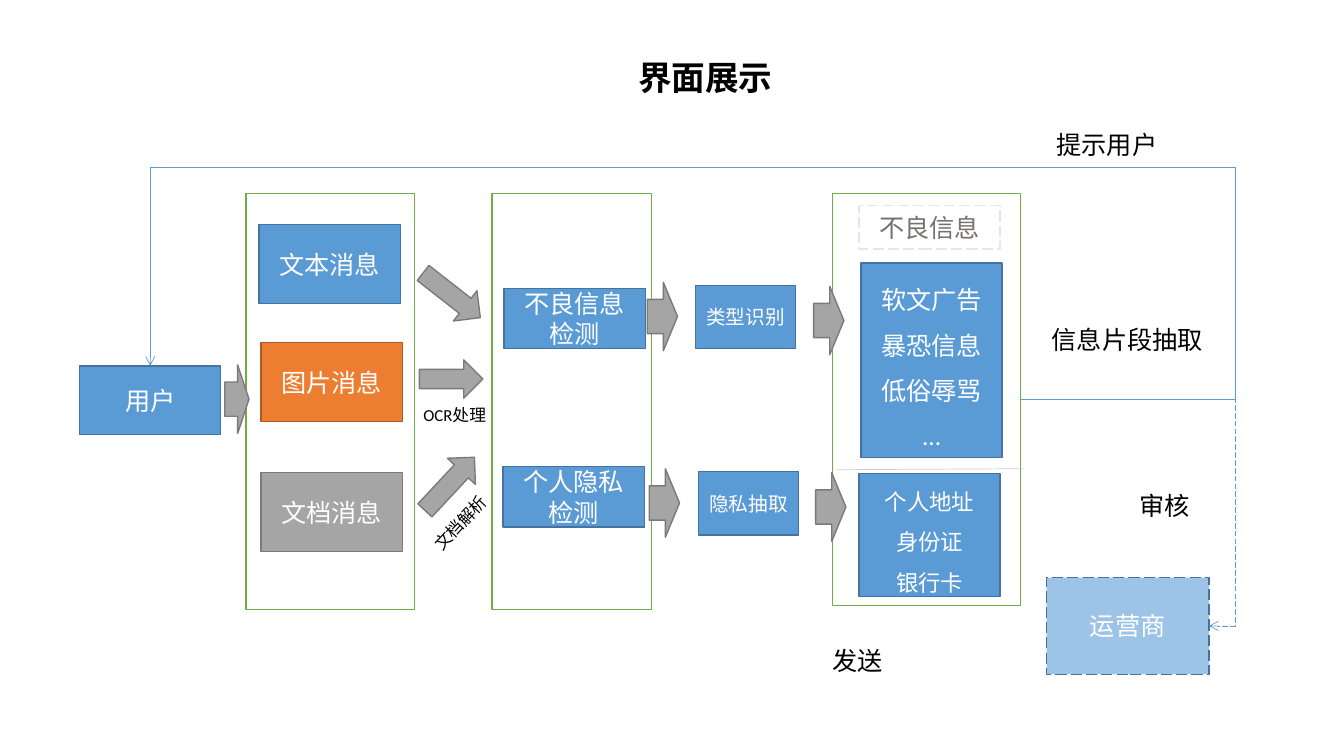
import dataclasses

import pptx
import pptx.dml.color
import pptx.enum.dml
import pptx.enum.shapes
import pptx.enum.text
import pptx.oxml
import pptx.oxml.ns
import pptx.util

Inches = pptx.util.Inches
Shapes = pptx.enum.shapes.MSO_SHAPE
Connectors = pptx.enum.shapes.MSO_CONNECTOR
Align = pptx.enum.text.PP_ALIGN
Anchor = pptx.enum.text.MSO_ANCHOR
LONG_DASH = pptx.enum.dml.MSO_LINE.LONG_DASH


@dataclasses.dataclass(frozen=True)
class Theme:
    font: str = "Calibri"
    title_size: int = 24
    body_size: int = 18
    list_size: int = 16
    step_size: int = 14
    note_size: int = 12
    ink: str = "000000"
    white: str = "FFFFFF"
    muted: str = "767171"
    divider: str = "D0CECE"
    flow: str = "5B9BD5"
    # Fill and outline pairs
    blue: tuple = ("5B9BD5", "43739E")
    light_blue: tuple = ("9DC3E6", "43739E")
    orange: tuple = ("ED7D31", "AF5C24")
    gray: tuple = ("A5A5A5", "7A7A7A")
    frame: tuple = ("FFFFFF", "70AD47")
    ghost: tuple = (None, "E7E6E6")


THEME = Theme()


def rgb(value):
    return pptx.dml.color.RGBColor.from_string(value)


def write_text(shape, lines, size, color, align=Align.CENTER, anchor=Anchor.MIDDLE,
               spacing=None, bold=False):
    frame = shape.text_frame
    frame.word_wrap = True
    frame.vertical_anchor = anchor
    for index, line in enumerate(lines):
        paragraph = frame.paragraphs[0] if index == 0 else frame.add_paragraph()
        paragraph.alignment = align
        if spacing:
            paragraph.line_spacing = spacing
        run = paragraph.add_run()
        run.text = line
        run.font.name = THEME.font
        run.font.size = pptx.util.Pt(size)
        run.font.bold = bold
        run.font.color.rgb = rgb(color)


def add_block(slide, kind, bounds, colors, dashed=False):
    shape = slide.shapes.add_shape(kind, *map(Inches, bounds))
    shape.shadow.inherit = False
    fill, outline = colors
    if fill:
        shape.fill.solid()
        shape.fill.fore_color.rgb = rgb(fill)
    else:
        shape.fill.background()
    shape.line.color.rgb = rgb(outline)
    shape.line.width = pptx.util.Pt(1)
    if dashed:
        shape.line.dash_style = LONG_DASH
    return shape


def add_box(slide, bounds, lines, colors=THEME.blue, size=THEME.body_size,
            color=THEME.white, spacing=None, dashed=False):
    shape = add_block(slide, Shapes.RECTANGLE, bounds, colors, dashed)
    write_text(shape, lines, size, color, spacing=spacing)
    return shape


def add_arrow(slide, bounds, rotation=0, head=0.5):
    shape = add_block(slide, Shapes.RIGHT_ARROW, bounds, THEME.gray)
    shape.adjustments[1] = head
    shape.rotation = rotation


def add_label(slide, bounds, text, size=THEME.body_size, align=Align.LEFT, rotation=0):
    box = slide.shapes.add_textbox(*map(Inches, bounds))
    box.rotation = rotation
    write_text(box, [text], size, THEME.ink, align, Anchor.TOP)


def add_line(slide, kind, start, end, color, dashed=False):
    line = slide.shapes.add_connector(kind, *map(Inches, start + end))
    line.line.color.rgb = rgb(color)
    line.line.width = pptx.util.Pt(0.5)
    if dashed:
        line.line.dash_style = LONG_DASH
    properties = line._element.spPr
    properties.append(properties.makeelement(pptx.oxml.ns.qn("a:effectLst"), {}))
    return line


def add_flow(slide, source, target, target_side, turn_x, turn_y=None, dashed=False):
    """Bent arrow from the right of source, turning at turn_x and then at turn_y."""
    line = add_line(slide, Connectors.ELBOW, (0, 0), (1, 1), THEME.flow, dashed)
    line.begin_connect(source, 3)
    line.end_connect(target, target_side)
    ratios = [(Inches(turn_x) - line.begin_x) / (line.end_x - line.begin_x)]
    if turn_y is not None:
        ratios.append((Inches(turn_y) - line.begin_y) / (line.end_y - line.begin_y))

    namespace = pptx.oxml.ns.nsdecls("a")
    guides = "".join(
        f'<a:gd name="adj{number}" fmla="val {round(ratio * 100000)}"/>'
        for number, ratio in enumerate(ratios, 1))
    geometry = line._element.spPr.find(pptx.oxml.ns.qn("a:prstGeom"))
    geometry.getparent().replace(geometry, pptx.oxml.parse_xml(
        f'<a:prstGeom {namespace} prst="bentConnector{len(ratios) + 2}">'
        f"<a:avLst>{guides}</a:avLst></a:prstGeom>"))
    line.line._get_or_add_ln().append(
        pptx.oxml.parse_xml(f'<a:tailEnd {namespace} type="arrow"/>'))


def add_title(slide, text):
    title = slide.shapes.title
    title.left, title.top, title.width, title.height = map(Inches, (5.56, 0.51, 2.87, 0.5))
    write_text(title, [text], THEME.title_size, THEME.ink, anchor=Anchor.TOP, bold=True)


def main():
    presentation = pptx.Presentation()
    presentation.slide_width = Inches(13.33)
    presentation.slide_height = Inches(7.5)
    slide = presentation.slides.add_slide(presentation.slide_layouts[5])
    add_title(slide, "界面展示")

    # Stage frames
    for bounds in ((2.44, 1.92, 1.67, 4.13), (4.88, 1.92, 1.58, 4.13)):
        add_block(slide, Shapes.RECTANGLE, bounds, THEME.frame)
    results = add_block(slide, Shapes.RECTANGLE, (8.26, 1.92, 1.86, 4.09), THEME.frame)
    add_line(slide, Connectors.STRAIGHT, (8.3, 4.66), (10.15, 4.65), THEME.divider)

    # User and message kinds
    user = add_box(slide, (0.79, 3.63, 1.4, 0.68), ["用户"])
    for left, top, text, colors in ((2.57, 2.23, "文本消息", THEME.blue),
                                    (2.59, 3.4, "图片消息", THEME.orange),
                                    (2.59, 4.69, "文档消息", THEME.gray)):
        add_box(slide, (left, top, 1.4, 0.78), [text], colors)

    # Detection and recognition steps
    for left, top, text in ((5, 2.86, "不良信息检测"), (4.99, 4.63, "个人隐私检测")):
        add_box(slide, (left, top, 1.4, 0.6), [text])
    for left, top, text in ((6.9, 2.83, "类型识别"), (6.93, 4.68, "隐私抽取")):
        add_box(slide, (left, top, 0.99, 0.63), [text], size=THEME.step_size)

    # Results and operator
    add_box(slide, (8.52, 2.04, 1.4, 0.43), ["不良信息"], THEME.ghost,
            color=THEME.muted, dashed=True)
    add_box(slide, (8.54, 2.61, 1.4, 1.93), ["软文广告", "暴恐信息", "低俗辱骂", "..."],
            spacing=1.5)
    add_box(slide, (8.52, 4.7, 1.4, 1.22), ["个人地址", "身份证", "银行卡"],
            size=THEME.list_size, spacing=1.5)
    operator = add_box(slide, (10.38, 5.73, 1.61, 0.96), ["运营商"], THEME.light_blue,
                       dashed=True)

    # Block arrows between stages
    add_arrow(slide, (2.23, 3.62, 0.24, 0.68), head=0.468)
    for left, top in ((6.42, 2.8), (8.07, 2.84), (6.44, 4.65), (8.09, 4.69)):
        add_arrow(slide, (left, top, 0.3, 0.68), head=0.468)
    add_arrow(slide, (4.12, 2.74, 0.72, 0.38), rotation=38)
    add_arrow(slide, (4.16, 3.57, 0.63, 0.38))
    add_arrow(slide, (4.1, 4.61, 0.72, 0.38), rotation=313)

    # Feedback to the user and review by the operator
    add_flow(slide, results, operator, 3, 12.25, dashed=True)
    add_flow(slide, results, user, 0, 12.25, 1.66)

    # Labels
    add_label(slide, (4.1, 3.97, 0.87, 0.3), "OCR处理", THEME.note_size)
    add_label(slide, (4.14, 5.03, 0.87, 0.32), "文档解析", THEME.note_size, rotation=313)
    add_label(slide, (10.38, 1.23, 1.29, 0.4), "提示用户")
    add_label(slide, (10.17, 3.17, 2.02, 0.4), "信息片段抽取", align=Align.CENTER)
    add_label(slide, (11.2, 4.82, 0.91, 0.34), "审核")
    add_label(slide, (8.16, 6.35, 0.91, 0.34), "发送")

    presentation.save("out.pptx")


if __name__ == "__main__":
    main()
